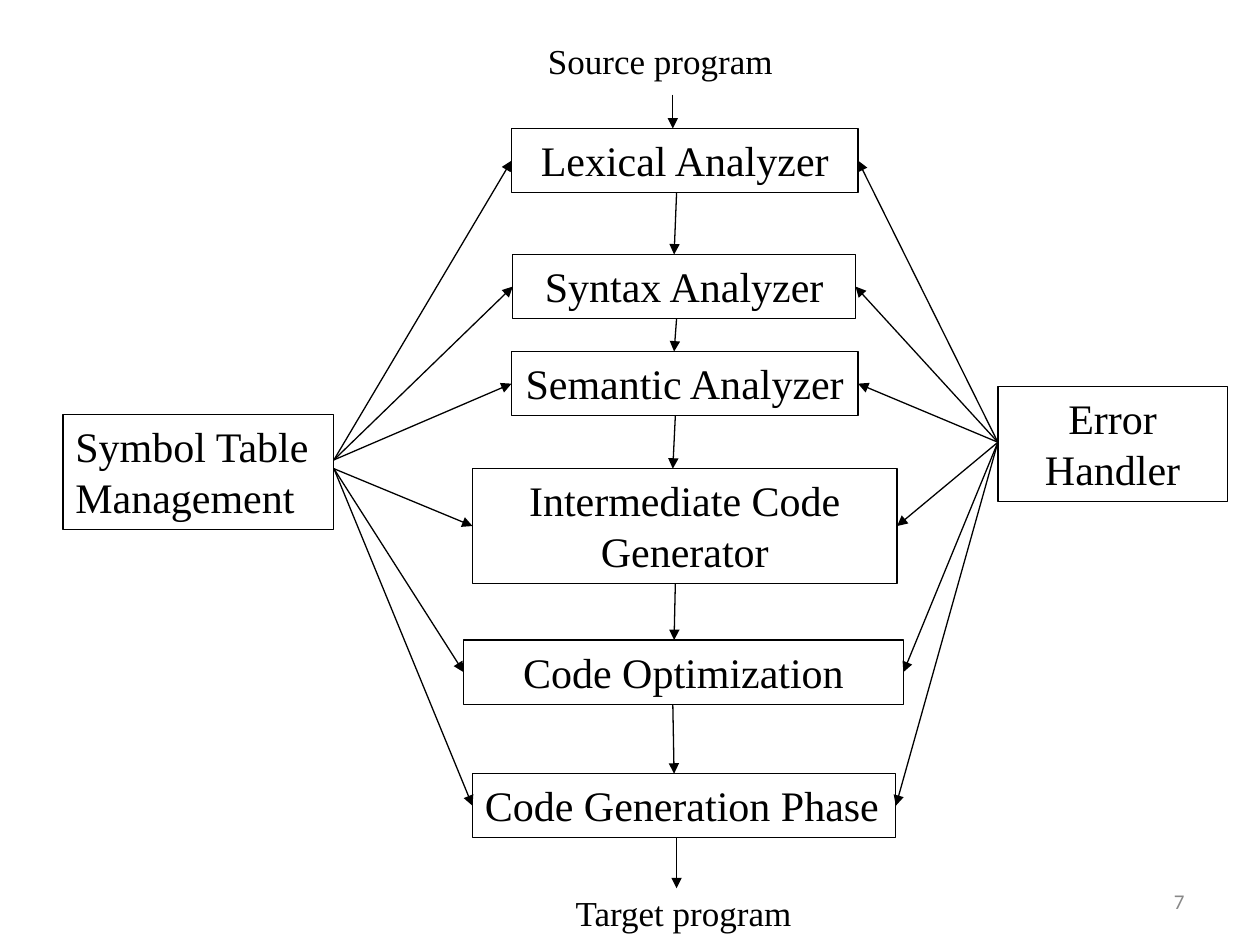
import pptx
import pptx.util
import pptx.dml.color
import pptx.enum.shapes
import pptx.enum.text
import pptx.oxml.ns
from lxml import etree

COLORS = {"ink": "000000", "paper": "FFFFFF", "muted": "888888"}
SERIF, SANS = "Times New Roman", "Calibri"
ALIGN = pptx.enum.text.PP_ALIGN
W, H = pptx.util.Inches(10), pptx.util.Inches(7.5)

# Positions are percentages of the slide: left, top, width, height
PHASES = [
    ("Lexical Analyzer", (40.6, 13.6, 27.5, 6.8), ALIGN.CENTER),
    ("Syntax Analyzer", (40.7, 26.93, 27.2, 6.8), ALIGN.CENTER),
    ("Semantic Analyzer", (40.6, 37.2, 27.5, 6.8), ALIGN.CENTER),
    ("Intermediate Code Generator", (37.5, 49.6, 33.7, 12.13), ALIGN.CENTER),
    ("Code Optimization", (36.8, 67.73, 34.9, 6.8), ALIGN.CENTER),
    ("Code Generation Phase", (37.5, 81.87, 33.6, 6.8), ALIGN.LEFT),
]
SYMBOLS = (["Symbol Table", "Management"], (5, 43.87, 21.5, 12.13), ALIGN.LEFT)
ERRORS = (["Error Handler"], (79.2, 40.93, 18.2, 12.13), ALIGN.CENTER)
LABELS = [
    ("Source program", (42.5, 3.47, 20, 5.87), 20, SERIF, "ink", ALIGN.LEFT),
    ("Target program", (44.7, 93.6, 19.3, 5.87), 20, SERIF, "ink", ALIGN.LEFT),
    ("7", (71.7, 92.67, 23.3, 5.33), 12, SANS, "muted", ALIGN.RIGHT),
]
FLOW_X = [(53.4, 53.4), (53.7, 53.5), (53.7, 53.5), (53.6, 53.4),
          (53.6, 53.5), (53.4, 53.5), (53.7, 53.7)]
FLOW_START, FLOW_END = 10, 94
SYMBOL_HUBS = [48.67] * 3 + [49.6] * 3
ERROR_HUBS = [46.8] * 6


def color(name):
    return pptx.dml.color.RGBColor.from_string(COLORS[name])


def place(x, y):
    return round(W * x / 100), round(H * y / 100)


def write(sp, lines, size, font, ink, align):
    tf = sp.text_frame
    tf.word_wrap = True
    for i, line in enumerate(lines):
        p = tf.add_paragraph() if i else tf.paragraphs[0]
        p.alignment = align
        r = p.add_run()
        r.text = line
        r.font.size = pptx.util.Pt(size)
        r.font.name = font
        r.font.color.rgb = color(ink)
    return tf


def add_box(s, lines, area, align):
    sp = s.shapes.add_shape(pptx.enum.shapes.MSO_SHAPE.RECTANGLE,
                            *place(*area[:2]), *place(*area[2:]))
    sp.shadow.inherit = False
    sp.fill.solid()
    sp.fill.fore_color.rgb = color("paper")
    sp.line.color.rgb = color("ink")
    sp.line.width = pptx.util.Pt(0.75)
    tf = write(sp, lines, 24, SERIF, "ink", align)
    tf.vertical_anchor = pptx.enum.text.MSO_ANCHOR.TOP


def add_arrow(s, start, end):
    sp = s.shapes.add_connector(pptx.enum.shapes.MSO_CONNECTOR.STRAIGHT,
                                *place(*start), *place(*end))
    sp.line.color.rgb = color("ink")
    sp.line.width = pptx.util.Pt(0.75)
    qn = pptx.oxml.ns.qn
    etree.SubElement(sp.line._get_or_add_ln(), qn("a:tailEnd"), type="triangle")
    etree.SubElement(sp._element.spPr, qn("a:effectLst"))


def main():
    prs = pptx.Presentation()
    prs.slide_width, prs.slide_height = W, H
    s = prs.slides.add_slide(prs.slide_layouts[6])

    for text, area, align in PHASES:
        add_box(s, [text], area, align)
    for side in (SYMBOLS, ERRORS):
        add_box(s, *side)

    for text, area, size, font, ink, align in LABELS:
        sp = s.shapes.add_textbox(*place(*area[:2]), *place(*area[2:]))
        tf = write(sp, [text], size, font, ink, align)
        tf.vertical_anchor = pptx.enum.text.MSO_ANCHOR.MIDDLE

    areas = [area for _, area, _ in PHASES]
    starts = [FLOW_START] + [y + h for _, y, _, h in areas]
    ends = [y for _, y, _, _ in areas] + [FLOW_END]
    for (x0, x1), y0, y1 in zip(FLOW_X, starts, ends):
        add_arrow(s, (x0, y0), (x1, y1))

    symbol_edge = SYMBOLS[1][0] + SYMBOLS[1][2]
    error_edge = ERRORS[1][0]
    for (x, y, w, h), left_y, right_y in zip(areas, SYMBOL_HUBS, ERROR_HUBS):
        add_arrow(s, (symbol_edge, left_y), (x, y + h / 2))
        add_arrow(s, (error_edge, right_y), (x + w, y + h / 2))

    prs.save("out.pptx")


if __name__ == "__main__":
    main()
